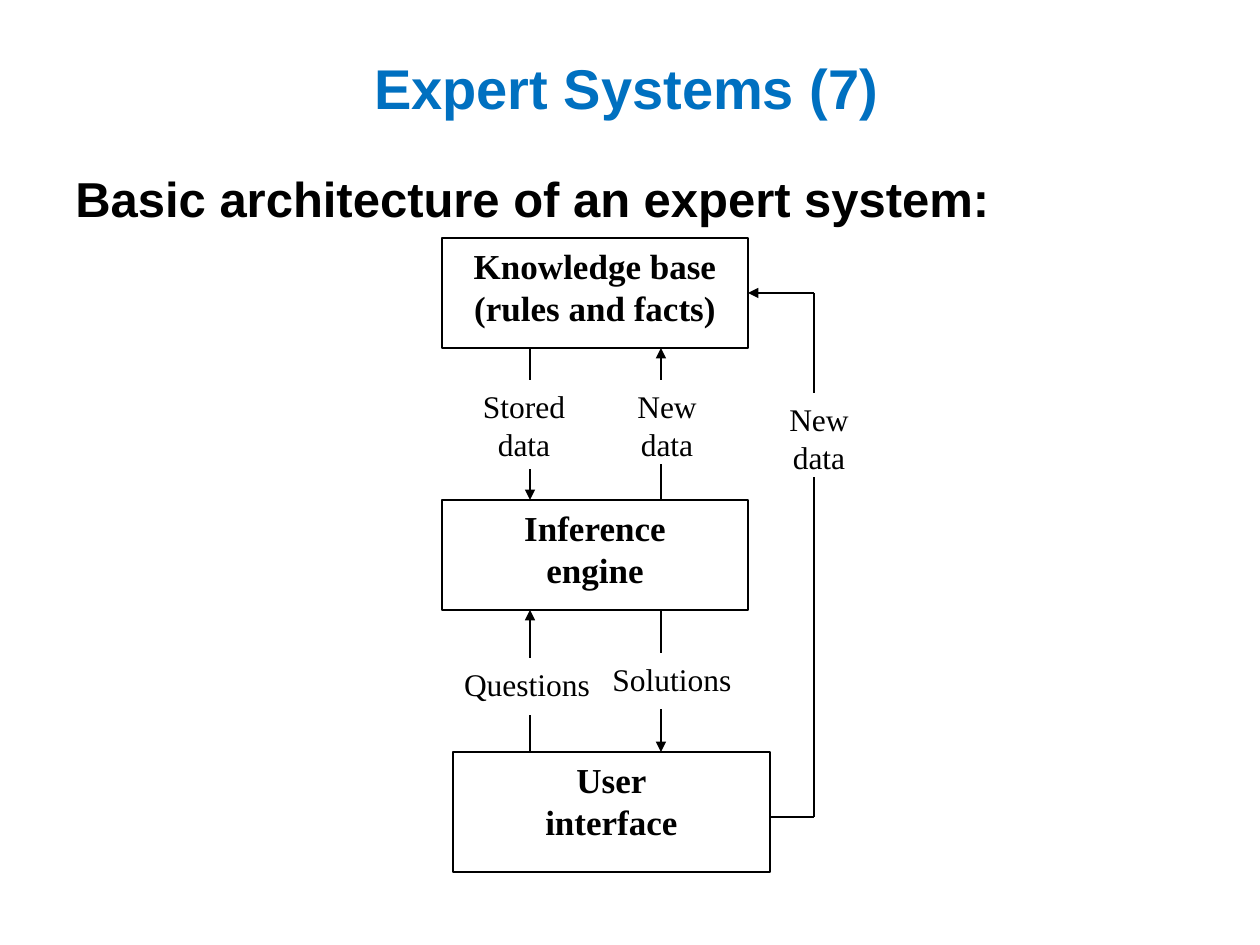
from typing import NamedTuple

from lxml import etree
from pptx import Presentation
from pptx.dml.color import RGBColor
from pptx.enum.shapes import MSO_CONNECTOR, MSO_SHAPE
from pptx.enum.text import MSO_ANCHOR, PP_ALIGN
from pptx.oxml.ns import qn
from pptx.util import Emu, Inches, Pt

RECTANGLE = MSO_SHAPE.RECTANGLE
STRAIGHT = MSO_CONNECTOR.STRAIGHT
CENTER, LEFT = PP_ALIGN.CENTER, PP_ALIGN.LEFT
TOP, MIDDLE = MSO_ANCHOR.TOP, MSO_ANCHOR.MIDDLE

PX_PER_INCH = 126
BLACK, WHITE, BLUE = "000000", "FFFFFF", "0070C0"
SANS, SERIF = "Arial", "Times New Roman"
LINE_WIDTH = Pt(0.75)
LINE_HEIGHT = 1.2  # line pitch in the diagram, relative to the font size


class Box(NamedTuple):
    left: int
    top: int
    width: int
    height: int
    lines: list[str]


class Line(NamedTuple):
    x1: int
    y1: int
    x2: int
    y2: int
    arrow: bool = True


def px(length: int) -> Emu:
    return Emu(round(length * Inches(1) / PX_PER_INCH))


def color(value: str) -> RGBColor:
    return RGBColor.from_string(value)


def write_text(shape, lines: list[str], size: int, font_name: str, ink: str,
               bold: bool, alignment=CENTER, anchor=TOP, line_height=None) -> None:
    frame = shape.text_frame
    frame.word_wrap = True
    frame.vertical_anchor = anchor
    frame.text = "\n".join(lines)
    for paragraph in frame.paragraphs:
        paragraph.alignment = alignment
        if line_height:
            paragraph.line_spacing = Pt(size * line_height)
        font = paragraph.font
        font.name, font.size, font.bold = font_name, Pt(size), bold
        font.color.rgb = color(ink)


def add_box(slide, box: Box, outline: str, size: int, bold: bool) -> None:
    shape = slide.shapes.add_shape(RECTANGLE, *map(px, box[:4]))
    shape.shadow.inherit = False
    shape.fill.solid()
    shape.fill.fore_color.rgb = color(WHITE)
    shape.line.color.rgb = color(outline)
    shape.line.width = LINE_WIDTH
    write_text(shape, box.lines, size, SERIF, BLACK, bold, line_height=LINE_HEIGHT)


def add_line(slide, line: Line) -> None:
    connector = slide.shapes.add_connector(STRAIGHT, *map(px, line[:4]))
    connector.line.color.rgb = color(BLACK)
    connector.line.width = LINE_WIDTH
    properties = connector._element.spPr
    if line.arrow:
        etree.SubElement(properties.find(qn("a:ln")), qn("a:tailEnd"), type="triangle")
    etree.SubElement(properties, qn("a:effectLst"))


# Diagram geometry
LEFT_FLOW, RIGHT_FLOW, FEEDBACK = 530, 661, 814
KNOWLEDGE = Box(442, 238, 306, 110, ["Knowledge base", "(rules and facts)"])
ENGINE = KNOWLEDGE._replace(top=500, lines=["Inference", "engine"])
INTERFACE = Box(453, 752, 317, 120, ["User", "interface"])
COMPONENTS = [KNOWLEDGE, ENGINE, INTERFACE]

KNOWLEDGE_BOTTOM = KNOWLEDGE.top + KNOWLEDGE.height
ENGINE_BOTTOM = ENGINE.top + ENGINE.height
FEEDBACK_TOP, FEEDBACK_BOTTOM = 293, 817

FLOWS = [
    Line(LEFT_FLOW, KNOWLEDGE_BOTTOM, LEFT_FLOW, ENGINE.top),
    Line(RIGHT_FLOW, ENGINE.top, RIGHT_FLOW, KNOWLEDGE_BOTTOM),
    Line(LEFT_FLOW, INTERFACE.top, LEFT_FLOW, ENGINE_BOTTOM),
    Line(RIGHT_FLOW, ENGINE_BOTTOM, RIGHT_FLOW, INTERFACE.top),
    # Feedback path from the user interface to the knowledge base
    Line(INTERFACE.left + INTERFACE.width, FEEDBACK_BOTTOM,
         FEEDBACK, FEEDBACK_BOTTOM, arrow=False),
    Line(FEEDBACK, FEEDBACK_BOTTOM, FEEDBACK, FEEDBACK_TOP, arrow=False),
    Line(FEEDBACK, FEEDBACK_TOP, KNOWLEDGE.left + KNOWLEDGE.width, FEEDBACK_TOP),
]

LABELS = [
    Box(596, 381, 142, 82, ["New", "data"]),
    Box(453, 381, 142, 87, ["Stored data"]),
    Box(443, 659, 168, 55, ["Questions"]),
    Box(596, 654, 152, 54, ["Solutions"]),
    Box(748, 394, 142, 82, ["New", "data"]),
]


def main() -> None:
    presentation = Presentation()
    presentation.slide_width, presentation.slide_height = Inches(10), Inches(7.5)
    slide = presentation.slides.add_slide(presentation.slide_layouts[5])

    # Title
    title = slide.shapes.title
    title.left, title.top, title.width, title.height = map(px, (54, 26, 1145, 123))
    write_text(title, ["Expert Systems (7)"], 32, SANS, BLUE, True, anchor=MIDDLE)

    # Heading
    heading = slide.shapes.add_textbox(*map(px, (63, 156, 1011, 81)))
    write_text(heading, ["Basic architecture of an expert system:"],
               28, SANS, BLACK, True, LEFT)
    heading.text_frame.margin_top = px(12)

    # Diagram: the labels cover the middle of the lines
    for component in COMPONENTS:
        add_box(slide, component, BLACK, 20, True)
    for flow in FLOWS:
        add_line(slide, flow)
    for label in LABELS:
        add_box(slide, label, WHITE, 18, False)

    presentation.save("out.pptx")


if __name__ == "__main__":
    main()
